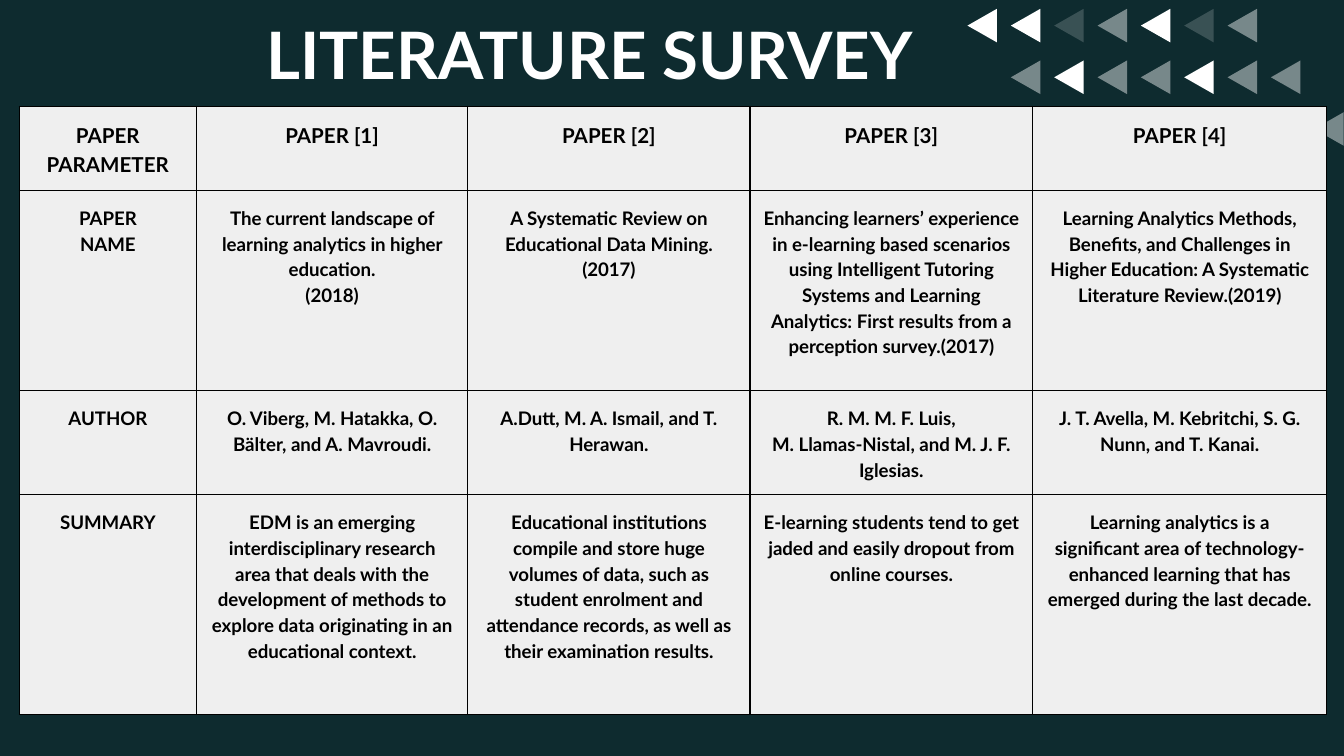
from pptx import Presentation
from pptx.dml.color import RGBColor
from pptx.enum.shapes import MSO_SHAPE
from pptx.enum.text import MSO_ANCHOR, PP_ALIGN
from pptx.oxml.ns import qn
from pptx.util import Pt
from lxml.etree import SubElement

FONT = "Lato"
INSET = Pt(7.2)
COLUMN_WIDTHS = [95, 145.3, 151.3, 151.3, 157.7]
ROW_HEIGHTS = [30, 107.3, 51.8, 118]

# Each letter is a triangle: W white, M medium, F faint
TRIANGLE_ROWS = ["WWFMWFM", " MWMMWMM", "        M"]
OPACITY = {"W": 100, "M": 44, "F": 18}

# A line break inside a cell starts a new paragraph
SURVEY = [
    ["PAPER PARAMETER", "PAPER [1]", "PAPER [2]", "PAPER [3]", "PAPER [4]"],
    ["PAPER\nNAME",
     "The current landscape of learning analytics in higher education.\n(2018)",
     "A Systematic Review on Educational Data Mining.(2017)",
     "Enhancing learners’ experience in e-learning based scenarios using "
     "Intelligent Tutoring Systems and Learning Analytics: First results "
     "from a perception survey.(2017)",
     "Learning Analytics Methods, Benefits, and Challenges in Higher "
     "Education: A Systematic Literature Review.(2019)"],
    ["AUTHOR",
     "O. Viberg, M. Hatakka, O. Bälter, and A. Mavroudi.",
     "A.Dutt, M. A. Ismail, and T. Herawan.",
     "R. M. M. F. Luis,\nM. Llamas-Nistal, and M. J. F. Iglesias.",
     "J. T. Avella, M. Kebritchi, S. G. Nunn, and T. Kanai."],
    ["SUMMARY",
     "EDM is an emerging interdisciplinary research area that deals with the "
     "development of methods to explore data originating in an educational "
     "context.",
     "Educational institutions compile and store huge volumes of data, such "
     "as student enrolment and attendance records, as well as their "
     "examination results.",
     "E-learning students tend to get jaded and easily dropout from online "
     "courses.",
     "Learning analytics is a significant area of technology-enhanced "
     "learning that has emerged during the last decade."],
]


def paint(fill, color, opacity=100):
    fill.solid()
    fill.fore_color.rgb = RGBColor.from_string(color)
    if opacity < 100:
        node = fill._xPr.find(qn("a:solidFill"))[0]
        SubElement(node, qn("a:alpha"), val=str(opacity * 1000))


def write(holder, text, size, color):
    """Fill a cell or a text frame with centred bold paragraphs."""
    holder.margin_left = holder.margin_right = INSET
    holder.margin_top = holder.margin_bottom = INSET
    frame = getattr(holder, "text_frame", holder)
    frame.word_wrap = True
    for index, line in enumerate(text.split("\n")):
        para = frame.add_paragraph() if index else frame.paragraphs[0]
        para.alignment = PP_ALIGN.CENTER
        para.line_spacing = 1.15
        span = para.add_run()
        span.text = line
        span.font.name = FONT
        span.font.size = Pt(size)
        span.font.bold = True
        paint(span.font.fill, color)


def border(cell, color, width):
    properties = cell._tc.get_or_add_tcPr()
    for index, side in enumerate(["lnL", "lnR", "lnT", "lnB"]):
        line = properties.makeelement(qn(f"a:{side}"), {"w": str(Pt(width))})
        solid = SubElement(line, qn("a:solidFill"))
        SubElement(solid, qn("a:srgbClr"), val=color)
        properties.insert(index, line)


def add_triangles(page, left, top, column_step, row_step):
    for row, pattern in enumerate(TRIANGLE_ROWS):
        for column, tone in enumerate(pattern):
            if tone not in OPACITY:
                continue
            triangle = page.shapes.add_shape(
                MSO_SHAPE.ISOSCELES_TRIANGLE,
                Pt(left + column * column_step), Pt(top + row * row_step),
                Pt(18), Pt(15.8))
            triangle.rotation = 270
            triangle.shadow.inherit = False
            triangle.line.fill.background()
            paint(triangle.fill, "FFFFFF", OPACITY[tone])


def add_survey(page, left, top):
    table = page.shapes.add_table(
        len(ROW_HEIGHTS), len(COLUMN_WIDTHS), Pt(left), Pt(top),
        Pt(sum(COLUMN_WIDTHS)), Pt(sum(ROW_HEIGHTS))).table
    table.first_row = table.horz_banding = False
    for column, width in zip(table.columns, COLUMN_WIDTHS):
        column.width = Pt(width)
    for index, (row, height) in enumerate(zip(table.rows, ROW_HEIGHTS)):
        row.height = Pt(height)
        for cell, text in zip(row.cells, SURVEY[index]):
            write(cell, text, 10 if index else 11, "000000")
            paint(cell.fill, "EFEFEF")
            border(cell, "000000", 0.75)


def add_title(page, left, top, width, height):
    box = page.shapes.add_textbox(Pt(left), Pt(top), Pt(width), Pt(height))
    box.text_frame.vertical_anchor = MSO_ANCHOR.MIDDLE
    write(box.text_frame, "LITERATURE SURVEY", 35, "FFFFFF")


def main():
    deck = Presentation()
    deck.slide_width, deck.slide_height = Pt(720), Pt(405)
    page = deck.slides.add_slide(deck.slide_layouts[6])
    paint(page.background.fill, "0E2B2F")
    add_triangles(page, 517.2, 5.8, 23.22, 27.7)
    add_survey(page, 10.3, 56.9)
    add_title(page, 120.2, 0, 391.7, 51.1)
    deck.save("out.pptx")


if __name__ == "__main__":
    main()
